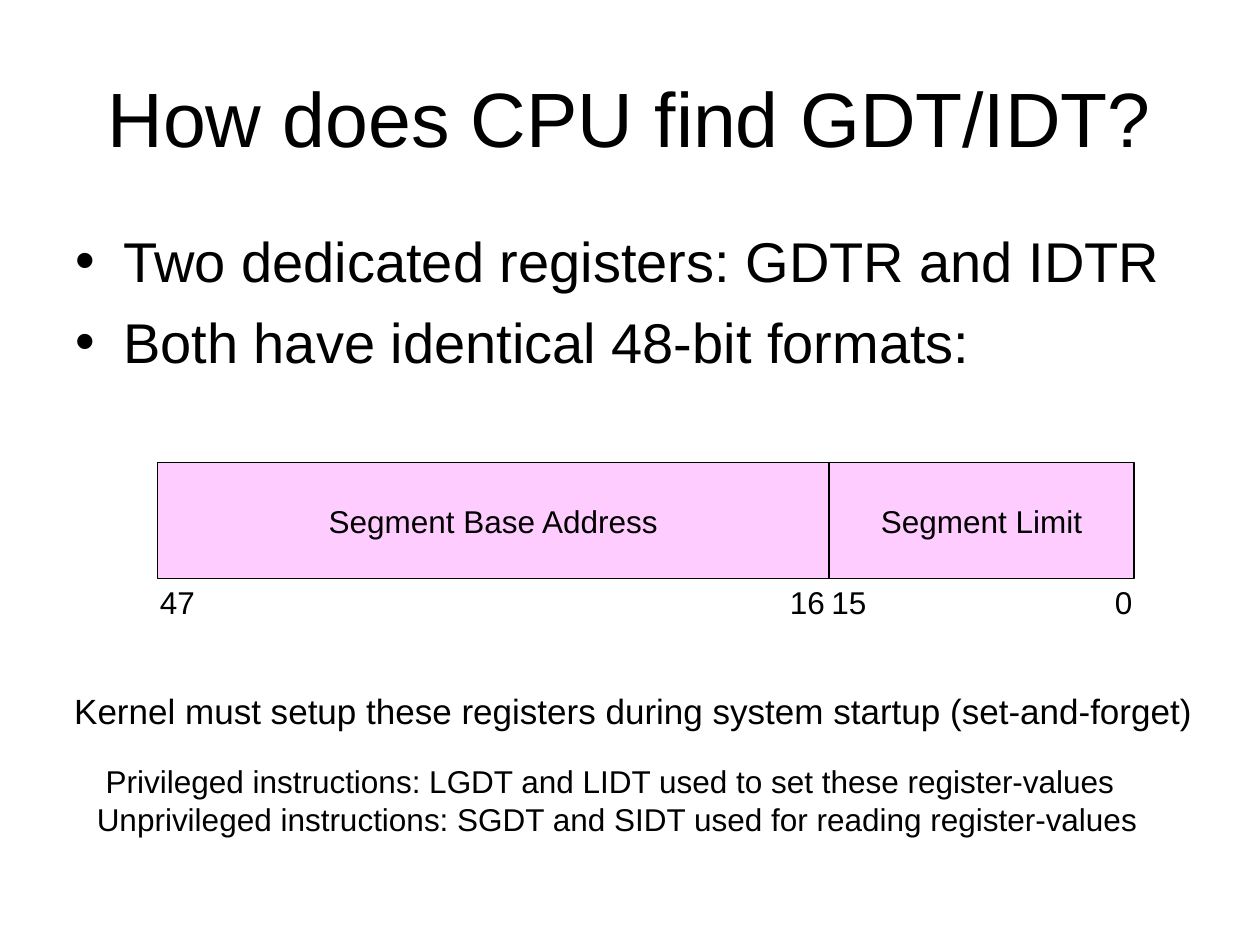
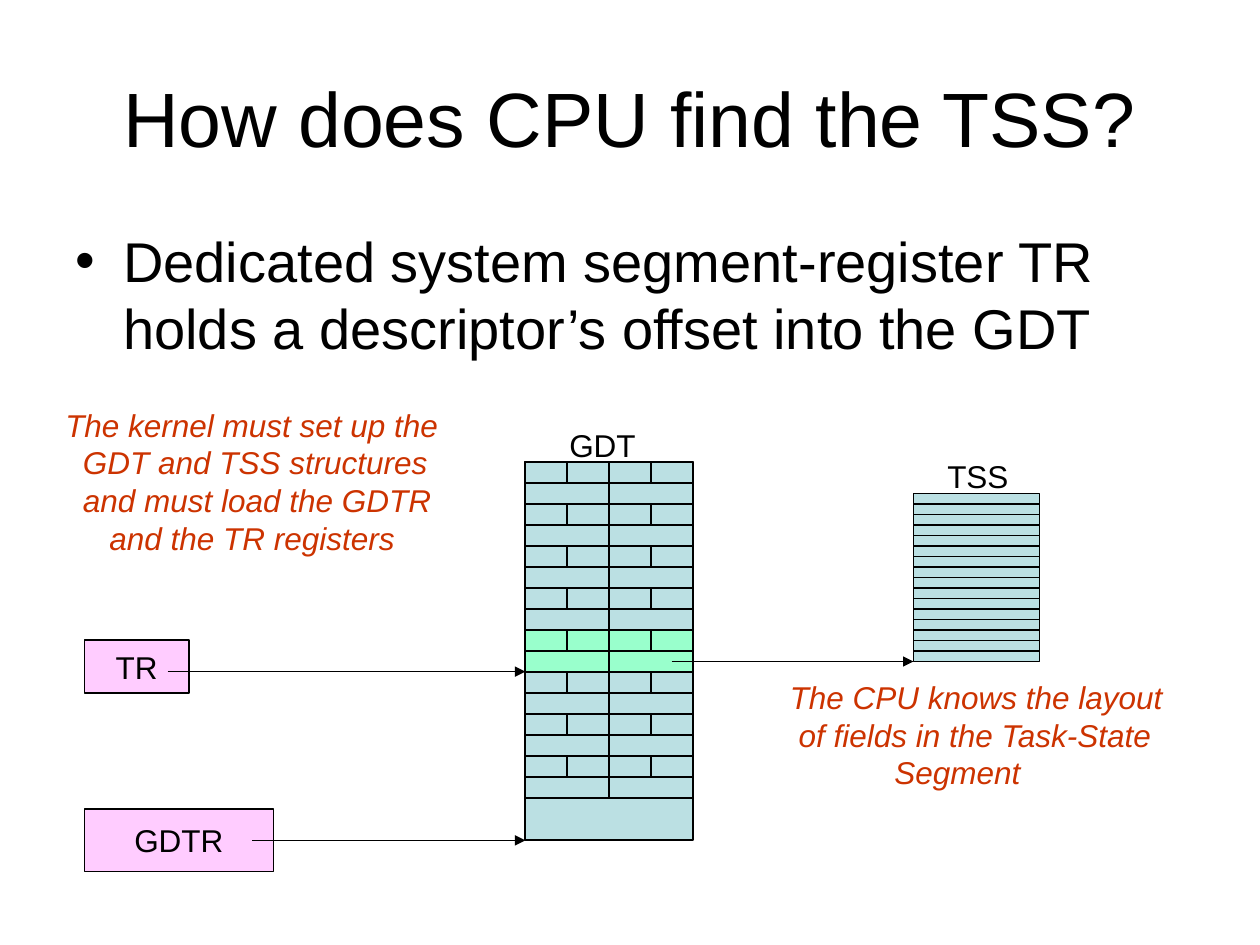
from dataclasses import dataclass

from lxml import etree
from pptx import Presentation
from pptx.dml.color import RGBColor
from pptx.enum.shapes import MSO_CONNECTOR, MSO_SHAPE
from pptx.enum.text import MSO_ANCHOR, MSO_AUTO_SIZE, PP_ALIGN
from pptx.oxml.ns import qn
from pptx.util import Inches, Pt

RECT = MSO_SHAPE.RECTANGLE
STRAIGHT = MSO_CONNECTOR.STRAIGHT
MIDDLE, TOP = MSO_ANCHOR.MIDDLE, MSO_ANCHOR.TOP
CENTER, LEFT = PP_ALIGN.CENTER, PP_ALIGN.LEFT
GROW = MSO_AUTO_SIZE.SHAPE_TO_FIT_TEXT

FONT = "Arial"
COLORS = {
    "ink": "000000",
    "pink": "FFCCFF",
    "blue": "BBE0E3",
    "green": "99FFCC",
    "red": "CC3300",
}
UNIT = 1 / 12


@dataclass
class Box:
    left: float
    top: float
    width: float
    height: float
    fill: str
    text: str = ""


@dataclass
class Line:
    text: str
    indent: float = 0


@dataclass
class Note:
    left: float
    top: float
    width: float
    height: float
    lines: list[Line]
    size: int = 18
    color: str = "ink"
    italic: bool = False


@dataclass
class Arrow:
    left: float
    right: float
    y: float


def paint(name: str) -> RGBColor:
    return RGBColor.from_string(COLORS[name])


def style(para, size: int, color: str = "ink", align=LEFT, italic: bool = False) -> None:
    para.alignment = align
    font = para.font
    font.name, font.size, font.italic = FONT, Pt(size), italic
    font.color.rgb = paint(color)


def add_title(slide, text: str) -> None:
    title = slide.shapes.title
    title.left, title.top = Inches(0.5), Inches(0.3)
    title.width, title.height = Inches(9), Inches(1.25)
    frame = title.text_frame
    frame.text = text
    frame.vertical_anchor = MIDDLE
    style(frame.paragraphs[0], 44, align=CENTER)


def add_body(slide, items: list[str]) -> None:
    shape = slide.shapes.add_textbox(Inches(0.5), Inches(1.75), Inches(9), Inches(4.95))
    frame = shape.text_frame
    frame.word_wrap = True
    frame.text = "\n".join(items)
    for para in frame.paragraphs:
        style(para, 32)
        para.space_before = Pt(8)
        props = para._p.get_or_add_pPr()
        props.set("marL", str(Inches(0.38)))
        props.set("indent", str(-Inches(0.38)))
        face = etree.Element(qn("a:buFont"), typeface=FONT)
        props.find(qn("a:spcBef")).addnext(face)
        face.addnext(etree.Element(qn("a:buChar"), char="•"))


def add_box(slide, box: Box) -> None:
    shape = slide.shapes.add_shape(
        RECT, Inches(box.left), Inches(box.top), Inches(box.width), Inches(box.height)
    )
    shape.shadow.inherit = False
    shape.fill.solid()
    shape.fill.fore_color.rgb = paint(box.fill)
    shape.line.color.rgb = paint("ink")
    shape.line.width = Pt(0.75)
    if box.text:
        frame = shape.text_frame
        frame.word_wrap = False
        frame.vertical_anchor = MIDDLE
        frame.text = box.text
        style(frame.paragraphs[0], 18, align=CENTER)


def add_note(slide, note: Note) -> None:
    shape = slide.shapes.add_textbox(
        Inches(note.left), Inches(note.top), Inches(note.width), Inches(note.height)
    )
    frame = shape.text_frame
    frame.word_wrap = False
    frame.auto_size = GROW
    frame.vertical_anchor = TOP
    frame.text = "\n".join(line.text for line in note.lines)
    for para, line in zip(frame.paragraphs, note.lines):
        style(para, note.size, note.color, italic=note.italic)
        if line.indent:
            para._p.get_or_add_pPr().set("marL", str(Inches(line.indent)))


def add_arrow(slide, arrow: Arrow) -> None:
    y = Inches(arrow.y)
    link = slide.shapes.add_connector(STRAIGHT, Inches(arrow.left), y, Inches(arrow.right), y)
    link.line.color.rgb = paint("ink")
    link.line.width = Pt(0.75)
    etree.SubElement(link.line._get_or_add_ln(), qn("a:tailEnd"), type="triangle")
    etree.SubElement(link._element.spPr, qn("a:effectLst"))


def add_entry(slide, left: float, top: float, fill: str) -> None:
    row = 2 * UNIT
    for level, count in ((1, 2), (0, 4)):
        width = 16 * UNIT / count
        for col in range(count):
            add_box(slide, Box(left + col * width, top + level * row, width, row, fill))


def add_gdt(slide) -> None:
    left, top = 50 * UNIT, 44 * UNIT
    add_box(slide, Box(left, top, 16 * UNIT, 3, "blue"))
    for entry in reversed(range(8)):
        fill = "green" if entry == 4 else "blue"
        add_entry(slide, left, top + entry * 4 * UNIT, fill)


def add_tss(slide) -> None:
    for row in range(16):
        add_box(slide, Box(7.25, (47 + row) * UNIT, 1, UNIT, "blue"))


def start(deck, title: str, items: list[str]):
    slide = deck.slides.add_slide(deck.slide_layouts[5])
    add_title(slide, title)
    add_body(slide, items)
    return slide


def add_tables(deck) -> None:
    slide = start(
        deck,
        "How does CPU find GDT/IDT?",
        ["Two dedicated registers: GDTR and IDTR", "Both have identical 48-bit formats:"],
    )
    add_box(slide, Box(1.25, 3.67, 5.33, 0.92, "pink", "Segment Base Address"))
    add_box(slide, Box(6.58, 3.67, 2.42, 0.92, "pink", "Segment Limit"))
    for bit, left, width in (
        ("0", 8.75, 0.34), ("15", 6.5, 0.48), ("16", 6.17, 0.48), ("47", 1.17, 0.48)
    ):
        add_note(slide, Note(left, 4.58, width, 0.4, [Line(bit)]))
    add_note(slide, Note(0.67, 6, 8.46, 0.7, [
        Line("Privileged instructions: LGDT and LIDT used to set these register-values", 0.07),
        Line("Unprivileged instructions: SGDT and SIDT used for reading register-values"),
    ]))
    add_note(slide, Note(0.49, 5.42, 9.08, 0.44, [
        Line("Kernel must setup these registers during system startup (set-and-forget)"),
    ], size=20))


def add_task(deck) -> None:
    slide = start(
        deck,
        "How does CPU find the TSS?",
        ["Dedicated system segment-register TR holds a descriptor’s offset into the GDT"],
    )
    add_box(slide, Box(0.67, 5.08, 0.83, 0.42, "pink", "TR"))
    add_box(slide, Box(0.67, 6.42, 1.5, 0.5, "pink", "GDTR"))
    add_gdt(slide)
    add_tss(slide)
    for arrow in (Arrow(2, 4.17, 6.67), Arrow(1.33, 4.17, 5.33), Arrow(5.33, 7.25, 5.25)):
        add_arrow(slide, arrow)
    add_note(slide, Note(4.42, 3.33, 0.73, 0.4, [Line("GDT")]))
    add_note(slide, Note(7.42, 3.58, 0.7, 0.4, [Line("TSS")]))
    add_note(slide, Note(6.17, 5.33, 3.16, 1, [
        Line("The CPU knows the layout"),
        Line("of fields in the Task-State", 0.07),
        Line("Segment", 0.83),
    ], color="red", italic=True))
    add_note(slide, Note(0.42, 3.17, 3.16, 1.3, [
        Line("The kernel must set up the"),
        Line("GDT and TSS structures", 0.14),
        Line("and must load the GDTR", 0.14),
        Line("and the TR registers", 0.35),
    ], color="red", italic=True))


def main() -> None:
    deck = Presentation()
    deck.slide_width, deck.slide_height = Inches(10), Inches(7.5)
    add_tables(deck)
    add_task(deck)
    deck.save("out.pptx")


if __name__ == "__main__":
    main()
